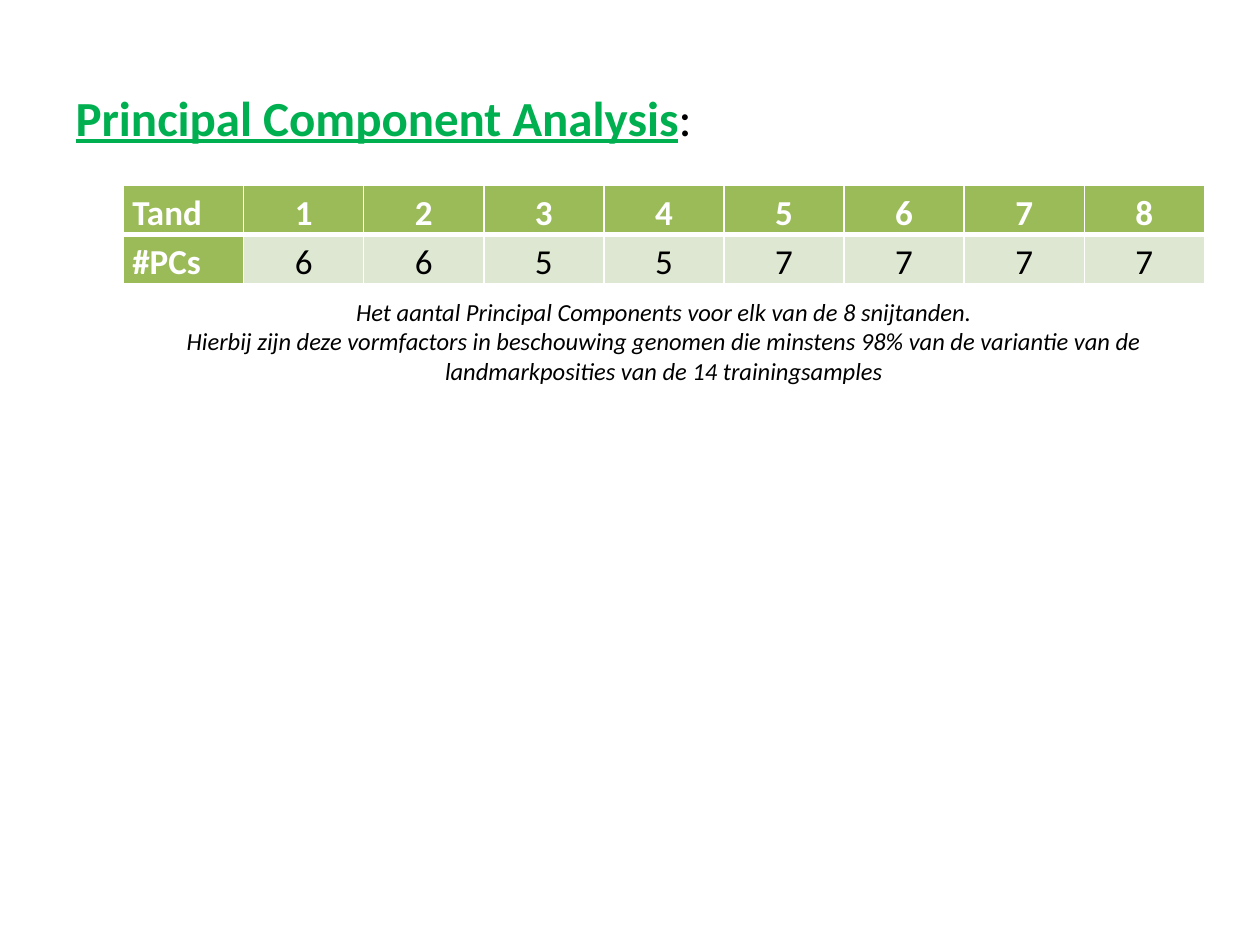
from dataclasses import dataclass

import pptx
import pptx.dml.color
import pptx.enum.text
import pptx.oxml
import pptx.oxml.ns
import pptx.util

Inches, Pt = pptx.util.Inches, pptx.util.Pt
RGBColor = pptx.dml.color.RGBColor
ALIGN = pptx.enum.text.PP_ALIGN
MIDDLE = pptx.enum.text.MSO_ANCHOR.MIDDLE

FONT = "Calibri"
WHITE = RGBColor(0xFF, 0xFF, 0xFF)
BLACK = RGBColor(0, 0, 0)
TITLE_GREEN = RGBColor(0x00, 0xB0, 0x50)
HEADER_GREEN = RGBColor(0x9B, 0xBB, 0x59)
PALE_GREEN = RGBColor(0xDE, 0xE7, 0xD1)

LEFT, WIDTH = 0.98, 8.58  # shared by the table and its caption
ROW_HEIGHT = 0.38


@dataclass
class Row:
    label: str
    values: list[int]
    fill: RGBColor
    color: RGBColor
    bold: bool


ROWS = [
    Row("Tand", list(range(1, 9)), HEADER_GREEN, WHITE, True),
    Row("#PCs", [6, 6, 5, 5, 7, 7, 7, 7], PALE_GREEN, BLACK, False),
]
CAPTION = [
    "Het aantal Principal Components voor elk van de 8 snijtanden.",
    "Hierbij zijn deze vormfactors in beschouwing genomen die minstens 98% van de "
    "variantie van de landmarkposities van de 14 trainingsamples",
]


def add_run(p, text: str, *, size: float, color: RGBColor = BLACK, bold: bool = False,
            italic: bool = False, underline: bool = False) -> None:
    r = p.add_run()
    r.text = text
    f = r.font
    f.name, f.size, f.color.rgb = FONT, Pt(size), color
    f.bold, f.italic, f.underline = bold, italic, underline


def set_borders(cell, widths: dict[str, float]) -> None:
    """Draw white borders; widths are in points, in the order L, R, T, B."""
    tc_pr = cell._tc.get_or_add_tcPr()
    for i, (side, width) in enumerate(widths.items()):
        tc_pr.insert(i, pptx.oxml.parse_xml(
            f'<a:ln{side} {pptx.oxml.ns.nsdecls("a")} w="{Pt(width)}">'
            f'<a:solidFill><a:srgbClr val="{WHITE}"/></a:solidFill></a:ln{side}>'))


def fill_cell(cell, text: str, fill: RGBColor, color: RGBColor, bold: bool, align) -> None:
    cell.margin_left = cell.margin_right = Inches(0.07)
    cell.margin_top = cell.margin_bottom = 0
    cell.fill.solid()
    cell.fill.fore_color.rgb = fill
    p = cell.text_frame.paragraphs[0]
    p.alignment, p.line_spacing = align, 1.15
    add_run(p, text, size=20, color=color, bold=bold)


def add_component_table(s, rows: list[Row]) -> None:
    n_cols = len(rows[0].values) + 1
    table = s.shapes.add_table(len(rows), n_cols, Inches(LEFT), Inches(1.47),
                               Inches(WIDTH), Inches(ROW_HEIGHT * len(rows))).table
    for col in table.columns:
        col.width = Inches(WIDTH / n_cols)
    for i, row in enumerate(rows):
        table.rows[i].height = Inches(ROW_HEIGHT)
        fill_cell(table.cell(i, 0), row.label, HEADER_GREEN, WHITE, True, ALIGN.JUSTIFY)
        for j, value in enumerate(row.values, 1):
            fill_cell(table.cell(i, j), str(value), row.fill, row.color, row.bold, ALIGN.CENTER)
        # The line under the header row is thicker
        widths = {"L": 1, "R": 1, "T": 3 if i == 1 else 1, "B": 3 if i == 0 else 1}
        for cell in table.rows[i].cells:
            set_borders(cell, widths)


def add_title(s) -> None:
    sp = s.shapes.title
    sp.left, sp.top, sp.width, sp.height = map(Inches, (0.5, 0.3, 9, 1.25))
    sp.text_frame.vertical_anchor = MIDDLE
    p = sp.text_frame.paragraphs[0]
    p.alignment = ALIGN.LEFT
    add_run(p, "Principal Component Analysis", size=28, color=TITLE_GREEN,
            bold=True, underline=True)
    add_run(p, ":", size=28)


def add_caption(s, lines: list[str]) -> None:
    sp = s.shapes.add_textbox(Inches(LEFT), Inches(2.3), Inches(WIDTH), Inches(0.81))
    tf = sp.text_frame
    tf.word_wrap = True
    tf.auto_size = pptx.enum.text.MSO_AUTO_SIZE.SHAPE_TO_FIT_TEXT
    tf.vertical_anchor = MIDDLE
    for i, line in enumerate(lines):
        p = tf.add_paragraph() if i else tf.paragraphs[0]
        p.alignment = ALIGN.CENTER
        add_run(p, line, size=14, italic=True)


def main() -> None:
    prs = pptx.Presentation()
    prs.slide_width, prs.slide_height = Inches(10), Inches(7.5)
    s = prs.slides.add_slide(prs.slide_layouts[5])  # title only
    add_title(s)
    add_component_table(s, ROWS)
    add_caption(s, CAPTION)
    prs.save("out.pptx")


if __name__ == "__main__":
    main()
